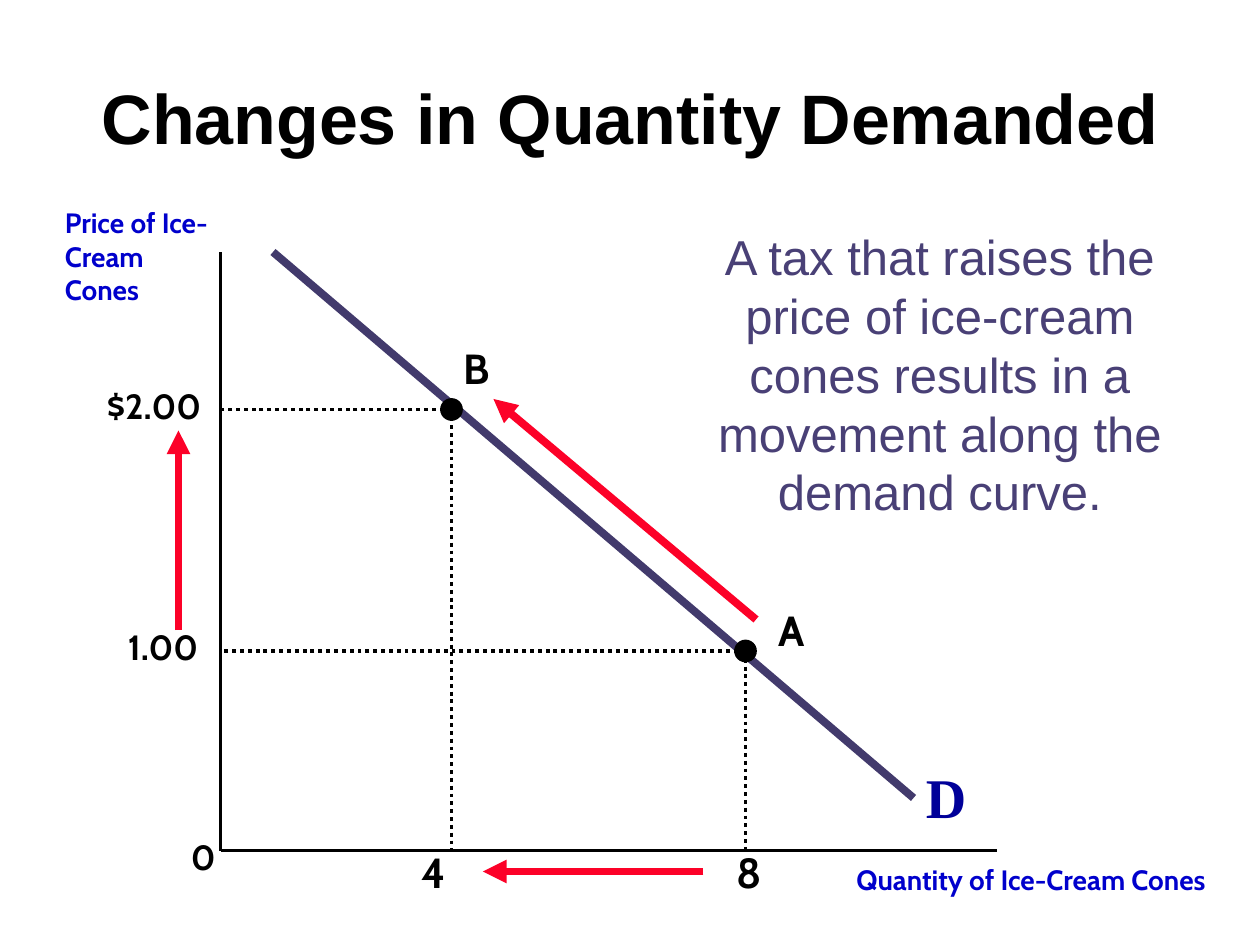
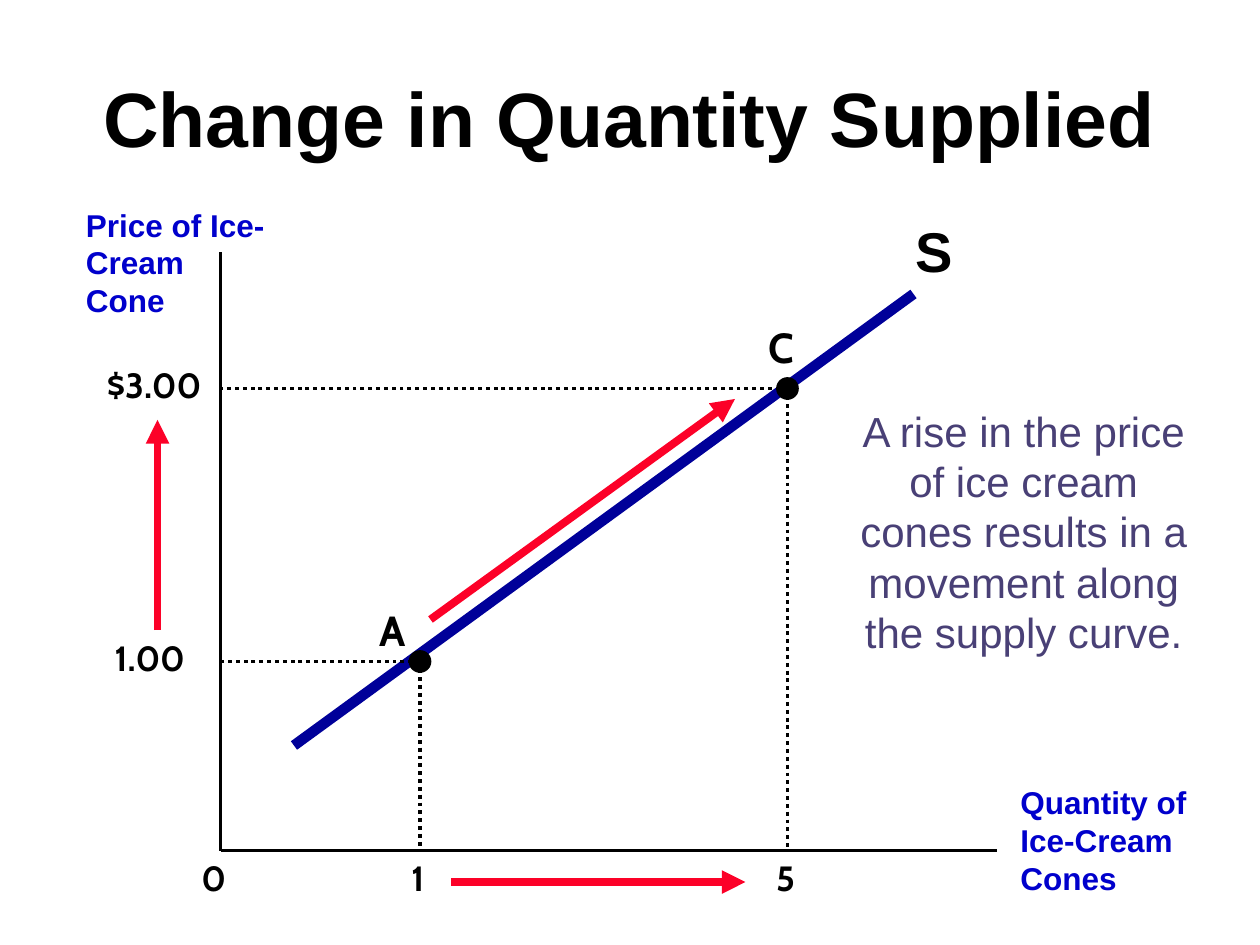
from pptx import Presentation
from pptx.dml.color import RGBColor
from pptx.enum.dml import MSO_LINE
from pptx.enum.shapes import MSO_CONNECTOR, MSO_SHAPE
from pptx.enum.text import MSO_ANCHOR, MSO_AUTO_SIZE, PP_ALIGN
from pptx.oxml.ns import qn
from pptx.util import Inches, Pt
from lxml.etree import SubElement

# Grid of 120 columns by 90 rows; boxes are (column, row, columns, rows)
WIDTH, HEIGHT, COLS, ROWS = 10, 7.5, 120, 90
TITLE_BOX = (6, 3.6, 108, 15)
PLOT_BOX = (21, 24, 74, 57)

BLACK, WHITE, RED = "000000", "FFFFFF", "FC0128"
NAVY, PLUM, BLUE, MAUVE = "000099", "423A6C", "0000CC", "494076"

# Text styles
TICK = dict(name="Cabin", size=20, bold=True, color=BLACK)
POINT = TICK | dict(size=24)
AXIS = dict(name="Arial", size=18, bold=True, color=BLUE)
CURVE = dict(name="Arial", size=32, bold=True, color=BLACK)
NOTE = dict(name="Arial", size=24, bold=False, color=MAUVE)
TITLE = dict(name="Arial", size=44, bold=True, color=BLACK)


def rgb(color):
    return RGBColor.from_string(color)


def x_at(col):
    return Inches(col * WIDTH / COLS)


def y_at(row):
    return Inches(row * HEIGHT / ROWS)


def place(box):
    x, y, w, h = box
    return x_at(x), y_at(y), x_at(w), y_at(h)


def write(sp, text, style, align=PP_ALIGN.LEFT, **frame):
    tf = sp.text_frame
    tf.text = text
    for key, value in (dict(word_wrap=True, vertical_anchor=MSO_ANCHOR.TOP) | frame).items():
        setattr(tf, key, value)
    p = tf.paragraphs[0]
    p.alignment = align
    font = p.runs[0].font
    for r in p.runs:
        font = r.font
        for key, value in style.items():
            if key == "color":
                font.color.rgb = rgb(value)
            else:
                setattr(font, key, Pt(value) if key == "size" else value)


def add_line(slide, start, end, color=BLACK, width=2.25, dash=None, arrow=False):
    sp = slide.shapes.add_connector(MSO_CONNECTOR.STRAIGHT, x_at(start[0]), y_at(start[1]),
                                    x_at(end[0]), y_at(end[1]))
    sp.line.color.rgb = rgb(color)
    sp.line.width = Pt(width)
    if dash:
        sp.line.dash_style = dash
    sp_pr = sp._element.spPr
    if arrow:
        SubElement(sp_pr.find(qn("a:ln")), qn("a:tailEnd"), type="triangle")
    SubElement(sp_pr, qn("a:effectLst"))


def add_filled(slide, kind, box, color):
    sp = slide.shapes.add_shape(kind, *place(box))
    sp.shadow.inherit = False
    sp.fill.solid()
    sp.fill.fore_color.rgb = rgb(color)
    sp.line.fill.background()
    return sp


def add_title(slide, box, text, style):
    sp = slide.shapes.title
    sp.left, sp.top, sp.width, sp.height = place(box)
    write(sp, text, style, PP_ALIGN.CENTER,
          vertical_anchor=MSO_ANCHOR.MIDDLE, auto_size=MSO_AUTO_SIZE.NONE)


def add_note(slide, box, text, style):
    sp = add_filled(slide, MSO_SHAPE.RECTANGLE, box, WHITE)
    write(sp, text, style, PP_ALIGN.CENTER)


def add_graph(slide, box, curve, points, arrows, labels):
    """Draw a curve with marked points; all places count from the plot's top left."""
    left, top, width, height = box

    def at(x, y):
        return left + x, top + y

    # Axes and curve
    add_line(slide, at(0, 0), at(0, height))
    add_line(slide, at(0, height), at(width, height))
    start, end, color, weight = curve
    add_line(slide, at(*start), at(*end), color, weight)

    # Dotted guides, with a dot where they meet
    for x, y in points:
        for foot in ((0, y), (x, height)):
            add_line(slide, at(x, y), at(*foot), dash=MSO_LINE.ROUND_DOT)
        dot = add_filled(slide, MSO_SHAPE.OVAL, (*at(x - 1, y - 1), 2, 2), BLACK)
        dot.line.color.rgb = rgb(BLACK)
        dot.line.width = Pt(1)

    # Arrows for the change
    for start, end in arrows:
        add_line(slide, at(*start), at(*end), RED, 4.5, arrow=True)

    # Labels
    for text, (x, y, w, h), style, *align in labels:
        sp = slide.shapes.add_textbox(*place((*at(x, y), w, h)))
        write(sp, text, style, *align)


DEMAND = dict(
    curve=((5, 0), (66, 52), PLUM, 4.5),
    points=[(22, 15), (50, 38)],
    arrows=[((51, 35), (26, 14)), ((-4, 36), (-4, 17)), ((46, 59), (25, 59))],
    labels=[
        ("Price of Ice-Cream \vCones", (-16, -5, 22, 10.8), AXIS | dict(name="Cabin", size=16)),
        ("Quantity of Ice-Cream Cones", (49, 57.6, 46, 4.4),
         AXIS | dict(name="Cabin", size=16), PP_ALIGN.RIGHT),
        ("D", (66, 48, 10, 7.7), CURVE | dict(name="Times New Roman", color=NAVY)),
        ("A", (52, 33, 4, 6), POINT),
        ("B", (22, 8, 7, 6), POINT),
        ("$2.00", (-12, 12, 12, 5.3), TICK),
        ("1.00", (-10, 35, 12, 5.3), TICK),
        ("0", (-4, 55, 10, 5.3), TICK),
        ("4", (18, 56, 9, 6), POINT),
        ("8", (48, 56, 9, 6), POINT),
    ],
)

SUPPLY = dict(
    curve=((7, 47), (66, 4), NAVY, 6),
    points=[(19, 39), (54, 13)],
    arrows=[((20, 35), (49, 14)), ((-6, 36), (-6, 16)), ((22, 60), (50, 60))],
    labels=[
        ("Price of Ice-Cream Cone", (-14, -5, 20, 12), AXIS),
        ("Quantity of Ice-Cream Cones", (75, 50, 20, 12), AXIS),
        ("S", (65, -4, 8, 7.7), CURVE),
        ("A", (14, 33, 5, 6), POINT),
        ("C", (51, 6, 5, 6), POINT),
        ("$3.00", (-12, 10, 12, 5.3), TICK),
        ("1.00", (-11.25, 36, 12, 5.3), TICK),
        ("0", (-3, 57, 6, 5.3), TICK),
        ("1", (17, 57, 6, 5.3), TICK),
        ("5", (51.75, 57, 7, 5.3), TICK),
    ],
)


def add_graph_slide(prs, title, title_style, note, note_box, note_style, graph):
    slide = prs.slides.add_slide(prs.slide_layouts[5])
    add_title(slide, TITLE_BOX, title, title_style)
    add_note(slide, note_box, note, note_style)
    add_graph(slide, PLOT_BOX, **graph)


def main():
    prs = Presentation()
    prs.slide_width, prs.slide_height = Inches(WIDTH), Inches(HEIGHT)
    add_graph_slide(
        prs, "Changes in Quantity Demanded", TITLE | dict(size=40),
        "A tax that raises the price of ice-cream cones results in a movement "
        "along the demand curve.",
        (64, 21, 51, 29.3), NOTE | dict(size=28), DEMAND)
    add_graph_slide(
        prs, "Change in Quantity Supplied", TITLE,
        "A rise in the price of ice cream cones results in a movement "
        "along the supply curve.",
        (80, 38, 35, 25.2), NOTE, SUPPLY)
    prs.save("out.pptx")


if __name__ == "__main__":
    main()
